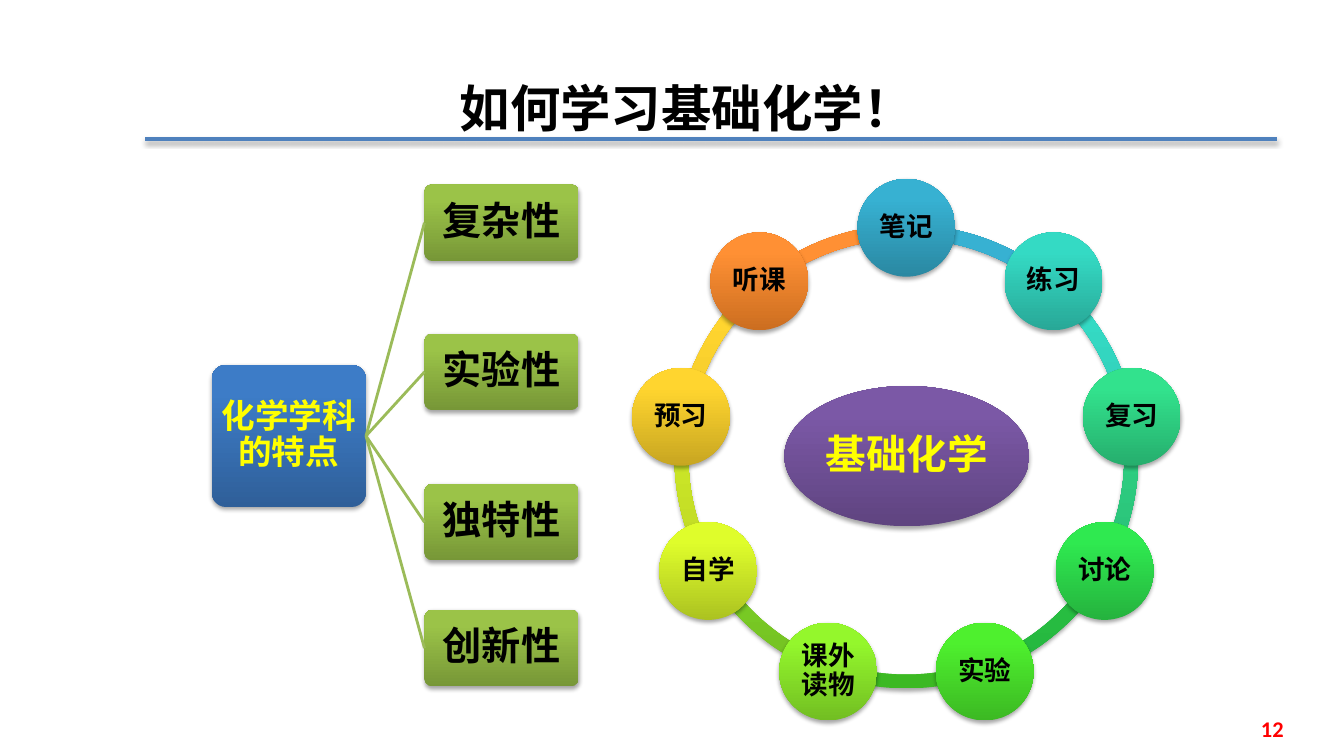
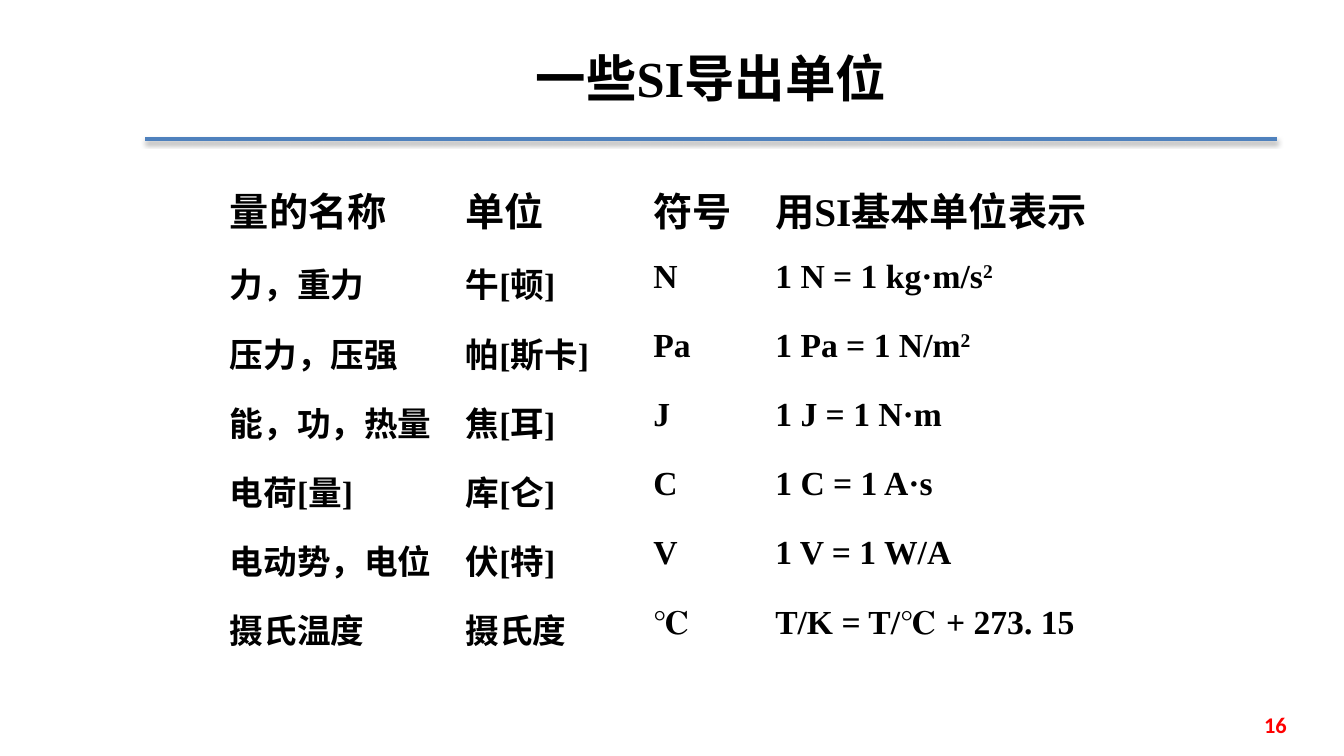
import math

from lxml import etree
from pptx import Presentation
from pptx.dml.color import RGBColor
from pptx.enum import shapes, text
from pptx.oxml import ns, parse_xml
from pptx.util import Inches, Pt

BLACK, YELLOW, RED = "000000", "FFFF00", "FF0000"
RULE_BLUE, BRANCH_GREEN = "4F81BD", "9BBB59"
SANS, SERIF, CHINESE = "Calibri", "Times New Roman", "Noto Sans CJK SC"
SHAPE, ALIGN = shapes.MSO_SHAPE, text.PP_ALIGN
NO_EFFECTS = f'<a:effectLst {ns.nsdecls("a")}/>'
SHADOW = (
    f'<a:effectLst {ns.nsdecls("a")}>'
    '<a:outerShdw blurRad="40000" dist="23000" dir="5400000" rotWithShape="0">'
    '<a:srgbClr val="000000"><a:alpha val="35000"/></a:srgbClr>'
    '</a:outerShdw></a:effectLst>'
)


def write(frame, words, size, colour=BLACK, font=SANS, align=ALIGN.CENTER, inset=None):
    """Fill a text frame with one bold paragraph; what follows a ^ is raised.

    An inset marks a diagram label, which also has tighter lines."""
    frame.word_wrap = True
    base, _, power = words.partition("^")
    para = frame.paragraphs[0]
    para.text = base
    para.alignment = align
    if power:
        raised = para.add_run()
        raised.text = power
        raised._r.get_or_add_rPr().set("baseline", "30000")
    for span in para.runs:
        span.font.size = Pt(size)
        span.font.bold = True
        span.font.name = font
        span.font.color.rgb = RGBColor.from_string(colour)
        east_asian = etree.SubElement(span._r.get_or_add_rPr(), ns.qn("a:ea"))
        east_asian.set("typeface", CHINESE)
    if inset is not None:
        para.line_spacing = 0.9
        frame.vertical_anchor = text.MSO_ANCHOR.MIDDLE
        frame.margin_left = frame.margin_right = Inches(inset)
        frame.margin_top = frame.margin_bottom = Inches(inset)


def add_block(page, kind, box, dark, bright):
    """Add a shadowed shape that shades from dark at the foot to bright."""
    block = page.shapes.add_shape(kind, *map(Inches, box))
    block.fill.gradient()
    block.fill.gradient_angle = 90
    for stop, colour, position in zip(block.fill.gradient_stops, (dark, bright), (0, 0.8)):
        stop.color.rgb = RGBColor.from_string(colour)
        stop.position = position
    block.line.fill.background()
    block._element.spPr.append(parse_xml(SHADOW))
    return block


deck = Presentation()
deck.slide_width, deck.slide_height = Inches(13.33), Inches(7.5)

# Shared frame: rule, title and page number
frames = [
    ("如何学习基础化学！", SANS, (2.31, 0.67, 9, 0.79), "12", (10.5, 7.03, 2.33, 0.4)),
    ("一些SI导出单位", SERIF, (1.44, 0.14, 11.22, 1.25), "16", (10.53, 6.99, 2.33, 0.4)),
]
for title, title_font, title_box, number, number_box in frames:
    page = deck.slides.add_slide(deck.slide_layouts[6])
    rule = page.shapes.add_connector(
        shapes.MSO_CONNECTOR.STRAIGHT, Inches(1.44), Inches(1.38), Inches(12.67), Inches(1.38))
    rule.line.color.rgb = RGBColor.from_string(RULE_BLUE)
    rule.line.width = Pt(3)
    rule._element.spPr.append(parse_xml(SHADOW))
    for words, box, size, colour, font, align in [
        (title, title_box, 36, BLACK, title_font, ALIGN.CENTER),
        (number, number_box, 16, RED, SANS, ALIGN.RIGHT),
    ]:
        frame = page.shapes.add_textbox(*map(Inches, box)).text_frame
        frame.vertical_anchor = text.MSO_ANCHOR.MIDDLE
        write(frame, words, size, colour, font, align)

study_page, units_page = deck.slides

# Study cycle: ring segments first, then the circles on top of them
steps = [
    ("笔记", "2A88A2", "37B1D2"),
    ("练习", "28A897", "34DAC4"),
    ("复习", "26AE6D", "32E28D"),
    ("讨论", "25B33E", "2FE950"),
    ("实验", "3CB923", "4EF02E"),
    ("课外读物", "72BE22", "94F72C"),
    ("自学", "ACC321", "DFFD2B"),
    ("预习", "C8A621", "FFD52F"),
    ("听课", "CC6E20", "FF9034"),
]
centre_x, centre_y = 8.99, 4.53
ring, orbit, circle = 4.6, 2.27, 0.97
sweep = 360 / len(steps)
angles = [(270 + sweep * index) % 360 for index in range(len(steps))]

for angle, (_, dark, bright) in zip(angles, steps):
    box = (centre_x - ring / 2, centre_y - ring / 2, ring, ring)
    arc = add_block(study_page, SHAPE.BLOCK_ARC, box, dark, bright)
    # Angles are stored in 1/60000 degree, adjustments in units of 100000
    arc.adjustments[0] = angle * 0.6
    arc.adjustments[1] = (angle + sweep) % 360 * 0.6
    arc.adjustments[2] = 0.03

hub = add_block(study_page, SHAPE.OVAL, (7.78, 3.83, 2.43, 1.39), "5F4480", "7B58A6")
write(hub.text_frame, "基础化学", 29, YELLOW, inset=0.04)

for angle, (step, dark, bright) in zip(angles, steps):
    left = centre_x + orbit * math.cos(math.radians(angle)) - circle / 2
    top = centre_y + orbit * math.sin(math.radians(angle)) - circle / 2
    node = add_block(study_page, SHAPE.OVAL, (left, top, circle, circle), dark, bright)
    write(node.text_frame, step, 19, inset=0.03)

# Tree of the subject's traits
root = add_block(study_page, SHAPE.ROUNDED_RECTANGLE, (2.1, 3.62, 1.53, 1.41), "2F5F99", "3D7CC7")
root.adjustments[0] = 0.1
write(root.text_frame, "化学学科的特点", 24, YELLOW, CHINESE, inset=0.02)

for trait, top in [("复杂性", 1.83), ("实验性", 3.31), ("独特性", 4.8), ("创新性", 6.05)]:
    box = (4.21, top, 1.53, 0.76)
    leaf = add_block(study_page, SHAPE.ROUNDED_RECTANGLE, box, "779737", "9BC348")
    leaf.adjustments[0] = 0.1
    write(leaf.text_frame, trait, 28, BLACK, CHINESE, inset=0.02)
    branch = study_page.shapes.add_connector(shapes.MSO_CONNECTOR.STRAIGHT, 0, 0, 0, 0)
    branch.begin_connect(root, 3)
    branch.end_connect(leaf, 1)
    branch.line.color.rgb = RGBColor.from_string(BRANCH_GREEN)
    branch.line.width = Pt(2)
    branch._element.spPr.append(parse_xml(NO_EFFECTS))

# Table of derived units
units = [
    ("量的名称", "单位", "符号", "用SI基本单位表示"),
    ("力，重力", "牛[顿]", "N", "1 N = 1 kg·m/s^2"),
    ("压力，压强", "帕[斯卡]", "Pa", "1 Pa = 1 N/m^2"),
    ("能，功，热量", "焦[耳]", "J", "1 J = 1 N·m"),
    ("电荷[量]", "库[仑]", "C", "1 C = 1 A·s"),
    ("电动势，电位", "伏[特]", "V", "1 V = 1 W/A"),
    ("摄氏温度", "摄氏度", "℃", "T/K = T/℃ + 273. 15"),
]
widths = [2.34, 1.86, 1.21, 3.56]
table = units_page.shapes.add_table(
    len(units), len(widths), Inches(2.18), Inches(1.75), Inches(sum(widths)), Inches(4.88)).table
table.first_row = table.horz_banding = False
for column, width in zip(table.columns, widths):
    column.width = Inches(width)
for index, values in enumerate(units):
    table.rows[index].height = Inches(0.685 if index else 0.77)
    for cell, words in zip(table.rows[index].cells, values):
        cell.fill.background()
        write(cell.text_frame, words, 24 if index else 28, BLACK, SERIF, ALIGN.LEFT)

deck.save("out.pptx")
